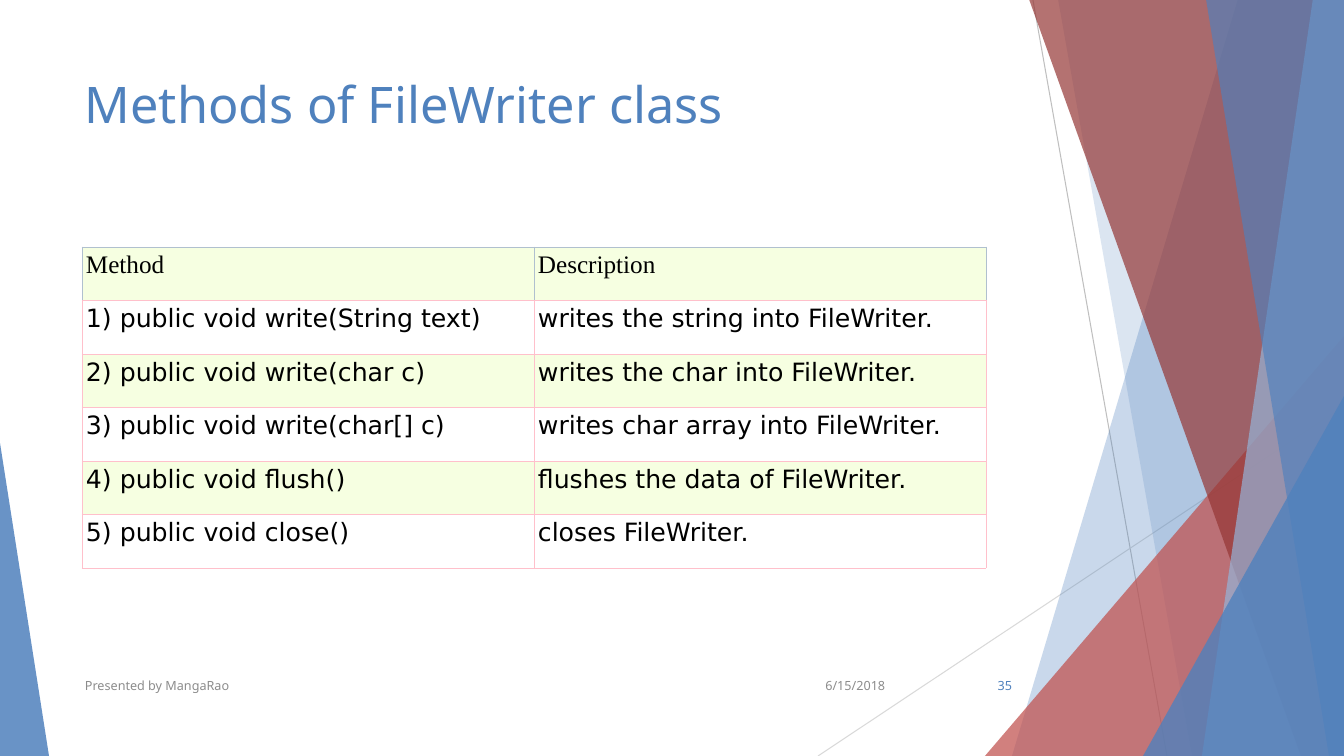
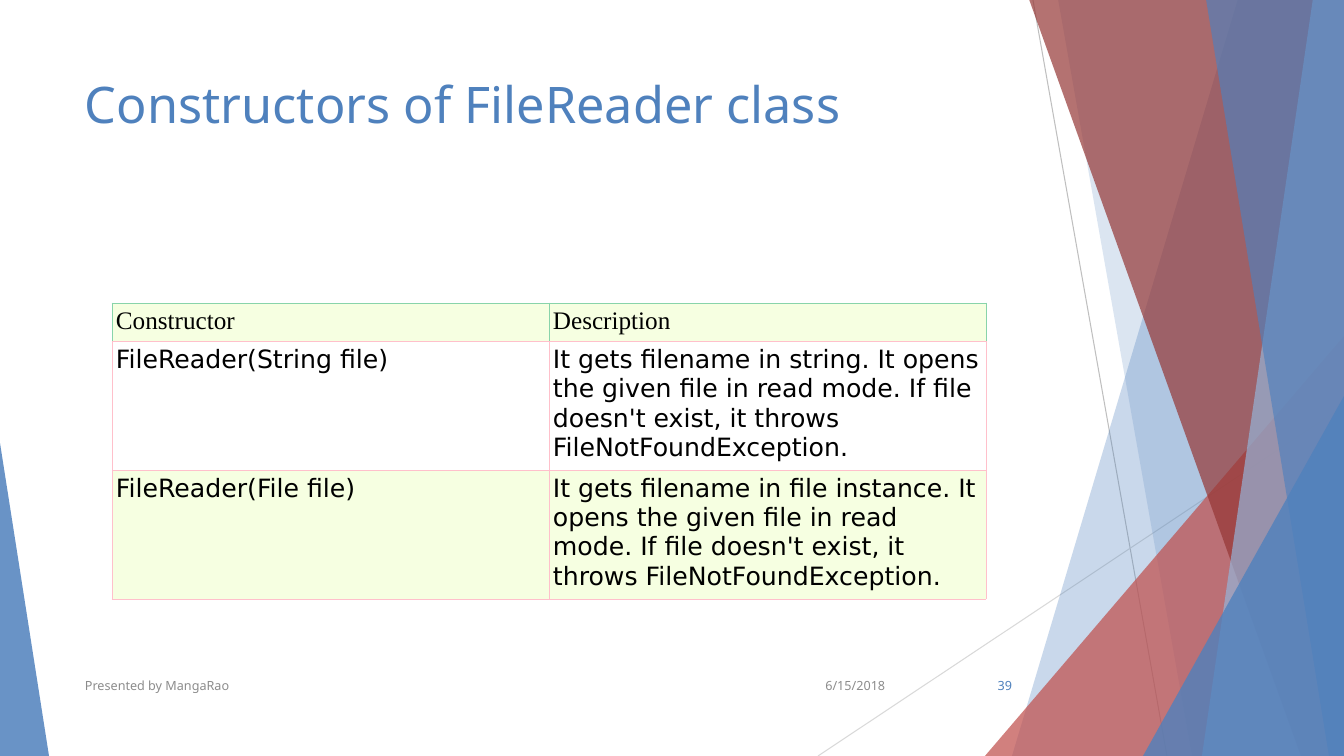
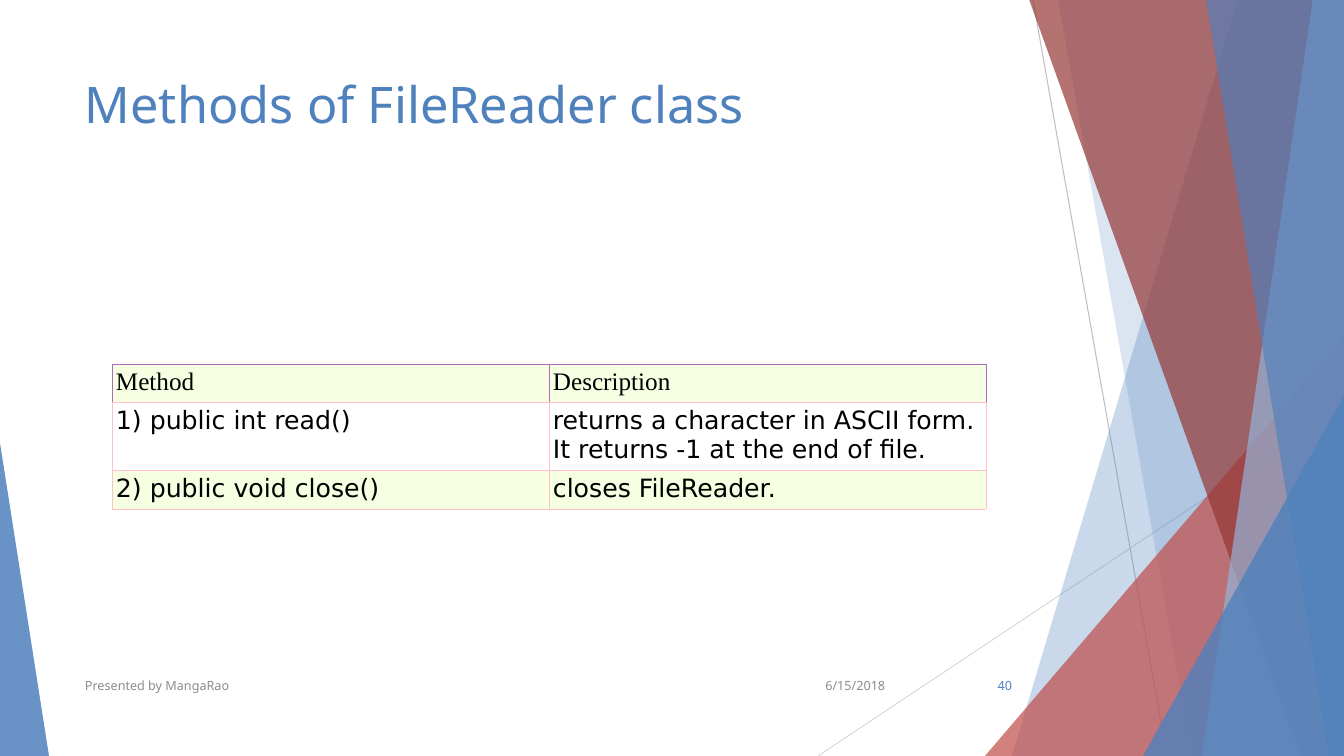
from dataclasses import dataclass
from typing import Any, NamedTuple

from pptx import Presentation
from pptx.dml.color import RGBColor as RGB
from pptx.enum.shapes import MSO_CONNECTOR as CONN, MSO_SHAPE as SHAPE
from pptx.enum.text import MSO_ANCHOR as ANCHOR, PP_ALIGN as ALIGN
from pptx.oxml.ns import qn
from pptx.oxml.xmlchemy import OxmlElement
from pptx.util import Emu, Pt

W, H = 1344, 756
BLEED = 1
CELL_INSET = 4
EMU_PER_PX = 914400 / 100.8

COLORS = {
    "white": "FFFFFF", "black": "000000", "blue": "4F81BD",
    "pale_blue": "95B3D7", "red": "C0504D", "dark_red": "953735",
    "gray": "8C8C8C", "line_gray": "BFBFBF", "light_gray": "D9D9D9",
    "lime": "F6FFE1", "pink": "FFC0CB", "steel": "B0C0CF",
    "mint": "88D4AA", "violet": "B069BC",
}

FONTS = {
    "title": {"name": "Noto Sans", "size": Pt(36)},
    "footer": {"name": "Noto Sans", "size": Pt(9)},
    "header": {"name": "Times New Roman", "size": Pt(18)},
    "body": {"name": "DejaVu Sans", "size": Pt(18)},
}


class Box(NamedTuple):
    """Left, top, width and height in pixels."""
    x: int
    y: int
    w: int
    h: int


class Wedge(NamedTuple):
    """Full-height band from a slanted left edge to the right slide edge."""
    top_x: int
    bottom_x: int
    color: str
    opacity: int


class Corner(NamedTuple):
    """Right-angled triangle; apex 0 is left, 1 is right."""
    box: Box
    apex: int
    color: str
    opacity: int


class Ray(NamedTuple):
    """Thin line between two points."""
    x1: int
    y1: int
    x2: int
    y2: int
    color: str


class Label(NamedTuple):
    """Text box with its style."""
    box: Box
    font: str
    color: str
    align: Any = ALIGN.LEFT
    anchor: Any = ANCHOR.MIDDLE


@dataclass(frozen=True)
class TableSlide:
    """Content of one slide."""
    title: str
    number: int
    left: int
    top: int
    col_width: int
    row_heights: tuple[int, ...]
    header_border: str
    rows: tuple[tuple[str, str], ...]


DECOR = (
    Ray(1033, 0, 1167, H, "line_gray"),
    Ray(W, 406, 818, H, "light_gray"),
    Wedge(1238, 1012, "blue", 30),
    Wedge(1058, 1192, "blue", 20),
    Corner(Box(985, 336, 359, 420), 1, "red", 72),
    Wedge(1029, 1301, "dark_red", 70),
    Wedge(1313, 1202, "pale_blue", 70),
    Wedge(1206, 1329, "blue", 65),
    Corner(Box(1143, 396, 201, 360), 1, "blue", 80),
    Corner(Box(0, 443, 49, 313), 0, "blue", 85),
)

TITLE = Label(Box(75, 68, 948, 145), "title", "blue", anchor=ANCHOR.TOP)
DATE = Label(Box(794, 666, 101, 40), "footer", "gray", ALIGN.RIGHT)
FOOTER = Label(Box(75, 666, 694, 40), "footer", "gray")
NUMBER = Label(Box(946, 666, 76, 40), "footer", "blue", ALIGN.RIGHT)

SLIDES = (
    TableSlide(
        "Methods of FileWriter class", 35, 82, 247, 452, (53, 54) * 3, "steel",
        (("Method", "Description"),
         ("1) public void write(String text)", "writes the string into FileWriter."),
         ("2) public void write(char c)", "writes the char into FileWriter."),
         ("3) public void write(char[] c)", "writes char array into FileWriter."),
         ("4) public void flush()", "flushes the data of FileWriter."),
         ("5) public void close()", "closes FileWriter."))),
    TableSlide(
        "Constructors of FileReader class", 39, 112, 303, 437, (36, 126, 125), "mint",
        (("Constructor", "Description"),
         ("FileReader(String file)",
          "It gets filename in string. It opens the given file in read mode. "
          "If file doesn't exist, it throws FileNotFoundException."),
         ("FileReader(File file)",
          "It gets filename in file instance. It opens the given file in read mode. "
          "If file doesn't exist, it throws FileNotFoundException."))),
    TableSlide(
        "Methods of FileReader class", 40, 112, 364, 437, (36, 67, 37), "violet",
        (("Method", "Description"),
         ("1) public int read()",
          "returns a character in ASCII form. It returns -1 at the end of file."),
         ("2) public void close()", "closes FileReader."))),
)


def px(n: float) -> Emu:
    """Turn pixels into EMU."""
    return Emu(round(n * EMU_PER_PX))


def rgb(name: str) -> RGB:
    """Look up a palette colour."""
    return RGB.from_string(COLORS[name])


def set_attrs(obj: Any, values: dict[str, Any]) -> None:
    """Set several attributes of one object."""
    for key, value in values.items():
        setattr(obj, key, value)


def write(tf: Any, text: str, font: str, color: str, align: Any = ALIGN.LEFT) -> None:
    """Write one styled run into a text frame."""
    p = tf.paragraphs[0]
    p.alignment = align
    r = p.add_run()
    r.text = text
    set_attrs(r.font, FONTS[font])
    r.font.color.rgb = rgb(color)


def paint(sp: Any, color: str, opacity: int) -> None:
    """Give a shape a translucent fill and no line or shadow."""
    sp.shadow.inherit = False
    sp.line.fill.background()
    sp.fill.solid()
    sp.fill.fore_color.rgb = rgb(color)
    alpha = OxmlElement("a:alpha")
    alpha.set("val", str(opacity * 1000))
    sp.element.spPr.find(f"{qn('a:solidFill')}/{qn('a:srgbClr')}").append(alpha)


def add_ray(shapes: Any, ray: Ray) -> None:
    """Draw a thin line."""
    s = shapes.add_connector(CONN.STRAIGHT, *map(px, ray[:4]))
    s.line.color.rgb = rgb(ray.color)
    s.line.width = Pt(0.75)
    s.element.spPr.append(OxmlElement("a:effectLst"))


def add_wedge(shapes: Any, wedge: Wedge) -> None:
    """Draw a slanted full-height band."""
    corners = ((W, -BLEED), (W, H), (wedge.bottom_x, H))
    builder = shapes.build_freeform(px(wedge.top_x), px(-BLEED))
    builder.add_line_segments([(px(x), px(y)) for x, y in corners], close=True)
    paint(builder.convert_to_shape(), wedge.color, wedge.opacity)


def add_corner(shapes: Any, corner: Corner) -> None:
    """Draw a right-angled triangle."""
    sp = shapes.add_shape(SHAPE.ISOSCELES_TRIANGLE, *map(px, corner.box))
    sp.adjustments[0] = corner.apex
    paint(sp, corner.color, corner.opacity)


DRAW = {Ray: add_ray, Wedge: add_wedge, Corner: add_corner}


def add_label(shapes: Any, label: Label, text: str) -> None:
    """Add a wrapped text box."""
    tf = shapes.add_textbox(*map(px, label.box)).text_frame
    set_attrs(tf, {"word_wrap": True, "vertical_anchor": label.anchor})
    write(tf, text, label.font, label.color, label.align)


def add_borders(cell: Any, side_color: str) -> None:
    """Outline a cell; its bottom edge is always pink."""
    tc_pr = cell._tc.get_or_add_tcPr()
    for i, side in enumerate("LRTB"):
        ln = OxmlElement(f"a:ln{side}")
        ln.set("w", str(Pt(0.6)))
        fill = OxmlElement("a:solidFill")
        clr = OxmlElement("a:srgbClr")
        clr.set("val", COLORS["pink" if side == "B" else side_color])
        fill.append(clr)
        ln.append(fill)
        tc_pr.insert(i, ln)


def add_grid(shapes: Any, data: TableSlide) -> None:
    """Add the two-column table with alternating row fills."""
    cols = len(data.rows[0])
    box = Box(data.left, data.top, cols * data.col_width, sum(data.row_heights))
    table = shapes.add_table(len(data.rows), cols, *map(px, box)).table
    set_attrs(table, {"first_row": False, "horz_banding": False})
    for col in table.columns:
        col.width = px(data.col_width)
    for i, (row, height) in enumerate(zip(table.rows, data.row_heights)):
        row.height = px(height)
        for cell, text in zip(row.cells, data.rows[i]):
            set_attrs(cell, {f"margin_{side}": px(CELL_INSET)
                             for side in ("left", "right", "top", "bottom")})
            cell.fill.solid()
            cell.fill.fore_color.rgb = rgb("white" if i % 2 else "lime")
            add_borders(cell, "pink" if i else data.header_border)
            write(cell.text_frame, text, "body" if i else "header", "black")


def add_slide(prs: Any, data: TableSlide) -> None:
    """Build one slide: decoration, title, table and footers."""
    s = prs.slides.add_slide(prs.slide_layouts[6])
    s.background.fill.solid()
    s.background.fill.fore_color.rgb = rgb("white")
    decor = s.shapes.add_group_shape().shapes
    for item in DECOR:
        DRAW[type(item)](decor, item)
    add_label(s.shapes, TITLE, data.title)
    add_grid(s.shapes, data)
    add_label(s.shapes, DATE, "6/15/2018")
    add_label(s.shapes, FOOTER, "Presented by MangaRao")
    add_label(s.shapes, NUMBER, str(data.number))


def main() -> None:
    """Build and save the presentation."""
    prs = Presentation()
    set_attrs(prs, {"slide_width": px(W), "slide_height": px(H)})
    for data in SLIDES:
        add_slide(prs, data)
    prs.save("out.pptx")


main()
